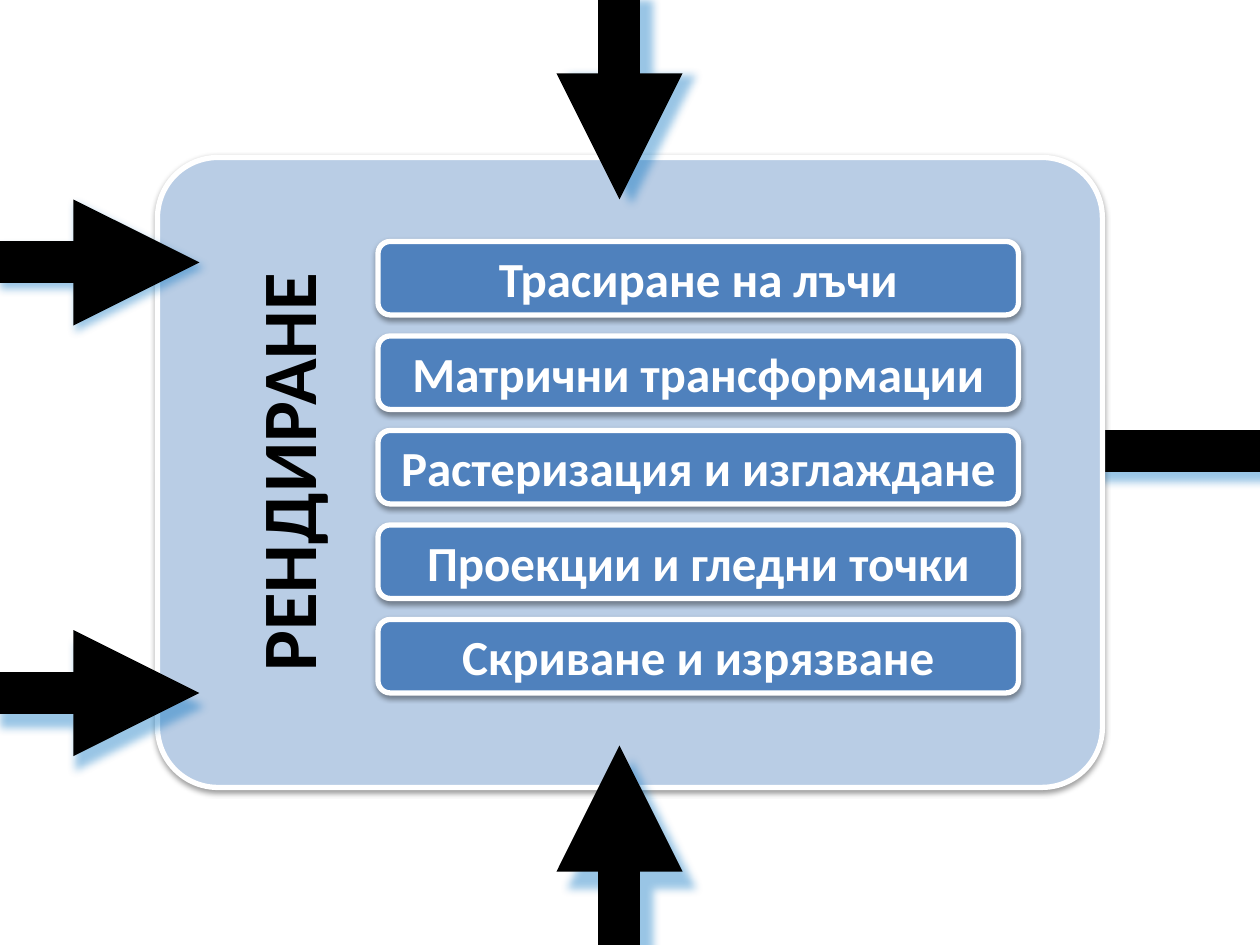
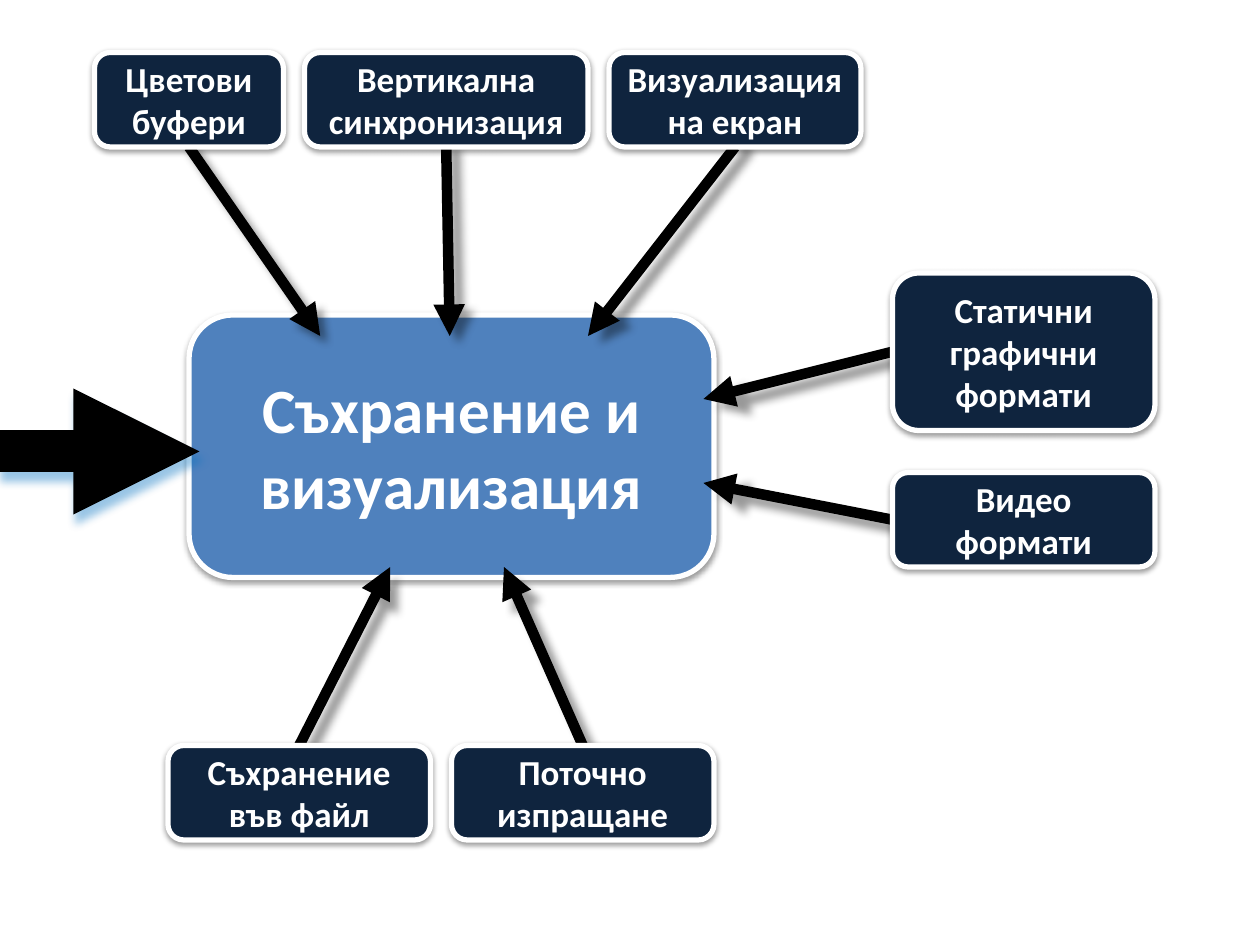
from dataclasses import dataclass

from lxml.etree import SubElement
from pptx import Presentation
from pptx.dml.color import RGBColor
from pptx.enum.shapes import MSO_CONNECTOR, MSO_SHAPE
from pptx.enum.text import MSO_ANCHOR, PP_ALIGN
from pptx.oxml.ns import qn
from pptx.util import Pt

# Shared look
COLOURS = {
    "panel": "B9CDE5",
    "step": "4F81BD",
    "detail": "0F243E",
    "white": "FFFFFF",
    "black": "000000",
    "glow": "0070C0",
}
FONT = "Calibri"
PAGE_WIDTH, PAGE_HEIGHT = 720, 540
FLOW_WIDTH, DETAIL_WIDTH = 24, 6
FLOW_REACH = 114  # how far a flow arrow comes in from the page edge
FLOW_Y = 258  # height of the flow that links the two slides

BOX_SHADOW = {"blurRad": Pt(3.15), "dist": Pt(1.57), "dir": 5400000, "rotWithShape": 0}
LINE_SHADOW = {"blurRad": Pt(5), "sx": 102000, "sy": 102000, "algn": "tl", "rotWithShape": 0}


@dataclass
class Box:
    text: str
    left: float
    top: float
    width: float
    height: float
    fill: str = "detail"
    size: float = 20
    text_colour: str = "white"

    def side(self, name: str) -> tuple[float, float]:
        """Return the middle of the named side."""
        middle_x, middle_y = self.left + self.width / 2, self.top + self.height / 2
        return {
            "top": (middle_x, self.top),
            "bottom": (middle_x, self.top + self.height),
            "left": (self.left, middle_y),
        }[name]


@dataclass
class Arrow:
    start: tuple[float, float]
    end: tuple[float, float]
    width: float = FLOW_WIDTH
    shadow: str = "glow"
    head: bool = True


@dataclass
class Detail:
    box: Box
    side: str
    target: tuple[float, float]


def rgb(name: str) -> RGBColor:
    return RGBColor.from_string(COLOURS[name])


def add_shadow(shape, colour: str, alpha: int, settings: dict) -> None:
    properties = shape._element.spPr
    effects = properties.find(qn("a:effectLst"))
    if effects is None:
        effects = SubElement(properties, qn("a:effectLst"))
    shadow = SubElement(effects, qn("a:outerShdw"),
                        {key: str(value) for key, value in settings.items()})
    tint = SubElement(shadow, qn("a:srgbClr"), val=COLOURS[colour])
    SubElement(tint, qn("a:alpha"), val=str(alpha * 1000))


def draw_box(page, box: Box):
    shape = page.shapes.add_shape(MSO_SHAPE.ROUNDED_RECTANGLE, Pt(box.left), Pt(box.top),
                                  Pt(box.width), Pt(box.height))
    shape.fill.solid()
    shape.fill.fore_color.rgb = rgb(box.fill)
    shape.line.color.rgb = rgb("white")
    shape.line.width = Pt(3)
    shape.shadow.inherit = False
    add_shadow(shape, "black", 38, BOX_SHADOW)
    frame = shape.text_frame
    frame.text = box.text
    frame.word_wrap = True
    frame.vertical_anchor = MSO_ANCHOR.MIDDLE
    for para in frame.paragraphs:
        para.alignment = PP_ALIGN.CENTER
        for span in para.runs:
            span.font.name = FONT
            span.font.size = Pt(box.size)
            span.font.bold = True
            span.font.color.rgb = rgb(box.text_colour)
    return shape


def draw_arrow(page, arrow: Arrow) -> None:
    points = [Pt(value) for value in (*arrow.start, *arrow.end)]
    connector = page.shapes.add_connector(MSO_CONNECTOR.STRAIGHT, *points)
    connector.line.color.rgb = rgb("black")
    connector.line.width = Pt(arrow.width)
    if arrow.head:
        SubElement(connector.line._get_or_add_ln(), qn("a:tailEnd"), type="triangle")
    add_shadow(connector, arrow.shadow, 40, LINE_SHADOW)


def draw_inflow(page, y: float) -> None:
    draw_arrow(page, Arrow((0, y), (FLOW_REACH, y)))


def build_rendering(page) -> None:
    # Outgoing flow runs behind the panel
    draw_arrow(page, Arrow((PAGE_WIDTH, FLOW_Y), (606, FLOW_Y), head=False))

    # Panel with its title reading upwards along the left side
    panel = draw_box(page, Box("РЕНДИРАНЕ", 90, 90, 540, 360, "panel", 44, "black"))
    panel.adjustments[0] = 0.096
    frame = panel.text_frame
    frame.vertical_anchor = MSO_ANCHOR.TOP
    frame.margin_left = Pt(37)
    frame._txBody.bodyPr.set("vert", "vert270")

    # Incoming flows
    middle_x = 354
    draw_arrow(page, Arrow((middle_x, PAGE_HEIGHT), (middle_x, PAGE_HEIGHT - FLOW_REACH)))
    draw_arrow(page, Arrow((middle_x, 0), (middle_x, FLOW_REACH)))
    for y in (150, 396):
        draw_inflow(page, y)

    # Rendering steps
    steps = ["Трасиране на лъчи", "Матрични трансформации", "Растеризация и изглаждане",
             "Проекции и гледни точки", "Скриване и изрязване"]
    for row, step in enumerate(steps):
        draw_box(page, Box(step, 216, 138 + 54 * row, 366, 42, "step", 28))


def build_output(page) -> None:
    draw_box(page, Box("Съхранение и визуализация", 108, 180, 300, 150, "step", 36))
    draw_inflow(page, FLOW_Y)

    # Details around the hub, each with an arrow into it
    details = [
        Detail(Box("Цветови буфери", 54, 30, 108, 54), "bottom", (183, 192)),
        Detail(Box("Вертикална синхронизация", 174, 30, 162, 54), "bottom", (257, 192)),
        Detail(Box("Визуализация\nна екран", 348, 30, 144, 54), "bottom", (336, 192)),
        Detail(Box("Статични графични формати", 510, 156, 150, 90), "left", (402, 228)),
        Detail(Box("Видео формати", 510, 270, 150, 54), "left", (402, 276)),
        Detail(Box("Съхранение във файл", 96, 426, 150, 54), "top", (223, 324)),
        Detail(Box("Поточно изпращане", 258, 426, 150, 54), "top", (288, 324)),
    ]
    for detail in details:
        draw_arrow(page, Arrow(detail.box.side(detail.side), detail.target,
                               DETAIL_WIDTH, "black"))
    for detail in details:
        draw_box(page, detail.box)


def main() -> None:
    deck = Presentation()
    deck.slide_width, deck.slide_height = Pt(PAGE_WIDTH), Pt(PAGE_HEIGHT)
    blank = deck.slide_layouts[6]
    for build in (build_rendering, build_output):
        build(deck.slides.add_slide(blank))
    deck.save("out.pptx")


if __name__ == "__main__":
    main()
